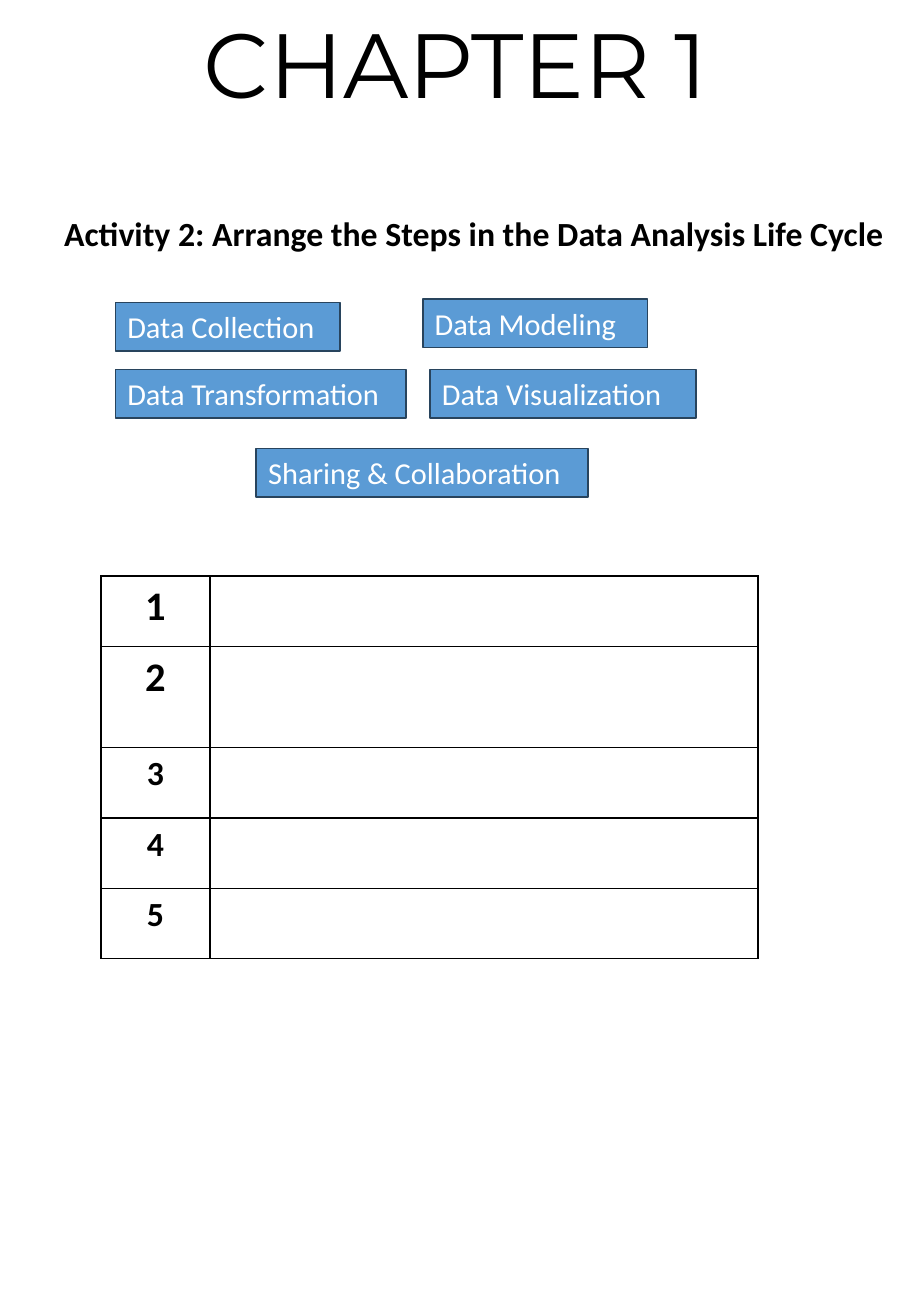
from pptx import Presentation
from pptx.dml.color import RGBColor
from pptx.enum.shapes import MSO_SHAPE as Shape
from pptx.enum.text import MSO_ANCHOR as Anchor, MSO_AUTO_SIZE as AutoSize, PP_ALIGN as Align
from pptx.oxml import parse_xml
from pptx.oxml.ns import nsdecls
from pptx.util import Inches, Pt


def color(value):
    return RGBColor.from_string(value)


def write(frame, text, align, style):
    frame.word_wrap = True
    frame.vertical_anchor = Anchor.TOP
    para = frame.paragraphs[0]
    para.alignment = align
    span = para.add_run()
    span.text = text
    look = {"name": "Calibri", "size": Pt(18), "bold": False} | style
    ink = look.pop("ink", "000000")
    for name, value in look.items():
        setattr(span.font, name, value)
    span.font.color.rgb = color(ink)


deck = Presentation()
deck.slide_width, deck.slide_height = Inches(7.5), Inches(10.83)
page = deck.slides.add_slide(deck.slide_layouts[6])

title = page.shapes.add_textbox(0, 0, Inches(7.5), Inches(1.03)).text_frame
margins = {"margin_left": 0.12, "margin_right": 0.12, "margin_top": 0.06, "margin_bottom": 0.06}
for name, value in margins.items():
    setattr(title, name, Inches(value))
write(title, "CHAPTER 1", Align.CENTER, {"name": "Montserrat", "size": Pt(54)})
title.auto_size = AutoSize.SHAPE_TO_FIT_TEXT

heading = page.shapes.add_textbox(Inches(0.43), Inches(1.7), Inches(7.07), Inches(0.44)).text_frame
write(heading, "Activity 2: Arrange the Steps in the Data Analysis Life Cycle",
      Align.LEFT, {"size": Pt(20), "bold": True})
heading.auto_size = AutoSize.SHAPE_TO_FIT_TEXT

steps = [
    ("Data Collection", 0.95, 2.49, 1.85),
    ("Data Transformation", 0.95, 3.04, 2.39),
    ("Data Modeling", 3.48, 2.46, 1.85),
    ("Data Visualization", 3.54, 3.04, 2.19),
    ("Sharing & Collaboration", 2.11, 3.69, 2.73),
]
for label, left, top, width in steps:
    box = page.shapes.add_shape(Shape.RECTANGLE, Inches(left), Inches(top), Inches(width), Inches(0.4))
    box.shadow.inherit = False
    box.fill.solid()
    box.fill.fore_color.rgb = color("5B9BD5")
    box.line.color.rgb = color("28445D")
    box.line.width = Pt(1)
    write(box.text_frame, label, Align.LEFT, {"ink": "FFFFFF"})
    box.text_frame.auto_size = AutoSize.SHAPE_TO_FIT_TEXT

row_heights = [0.58, 0.83, 0.58, 0.58, 0.58]
number_sizes = [24, 24, 20, 20, 20]
answers = page.shapes.add_table(5, 2, Inches(0.83), Inches(4.74), Inches(5.41),
                                Inches(sum(row_heights))).table
answers.first_row = answers.horz_banding = False
for column, width in zip(answers.columns, [0.9, 4.51]):
    column.width = Inches(width)
for number, (row, height, size) in enumerate(zip(answers.rows, row_heights, number_sizes), 1):
    row.height = Inches(height)
    write(row.cells[0].text_frame, str(number), Align.CENTER, {"size": Pt(size), "bold": True})
    for cell in row.cells:
        properties = cell._tc.get_or_add_tcPr()
        for side in ("lnL", "lnR", "lnT", "lnB"):
            properties.append(parse_xml(
                f'<a:{side} {nsdecls("a")} w="{Pt(1)}"><a:solidFill>'
                f'<a:srgbClr val="000000"/></a:solidFill></a:{side}>'))
        cell.fill.background()

deck.save("out.pptx")
